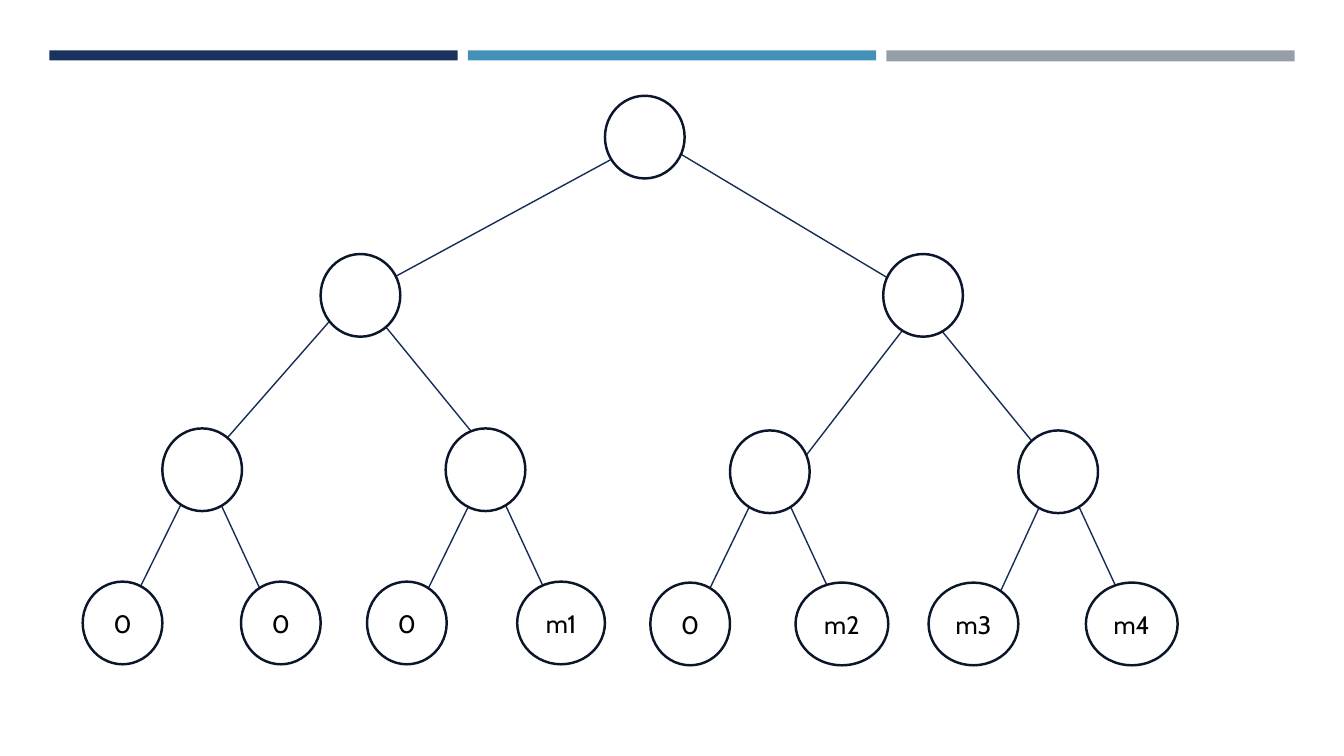
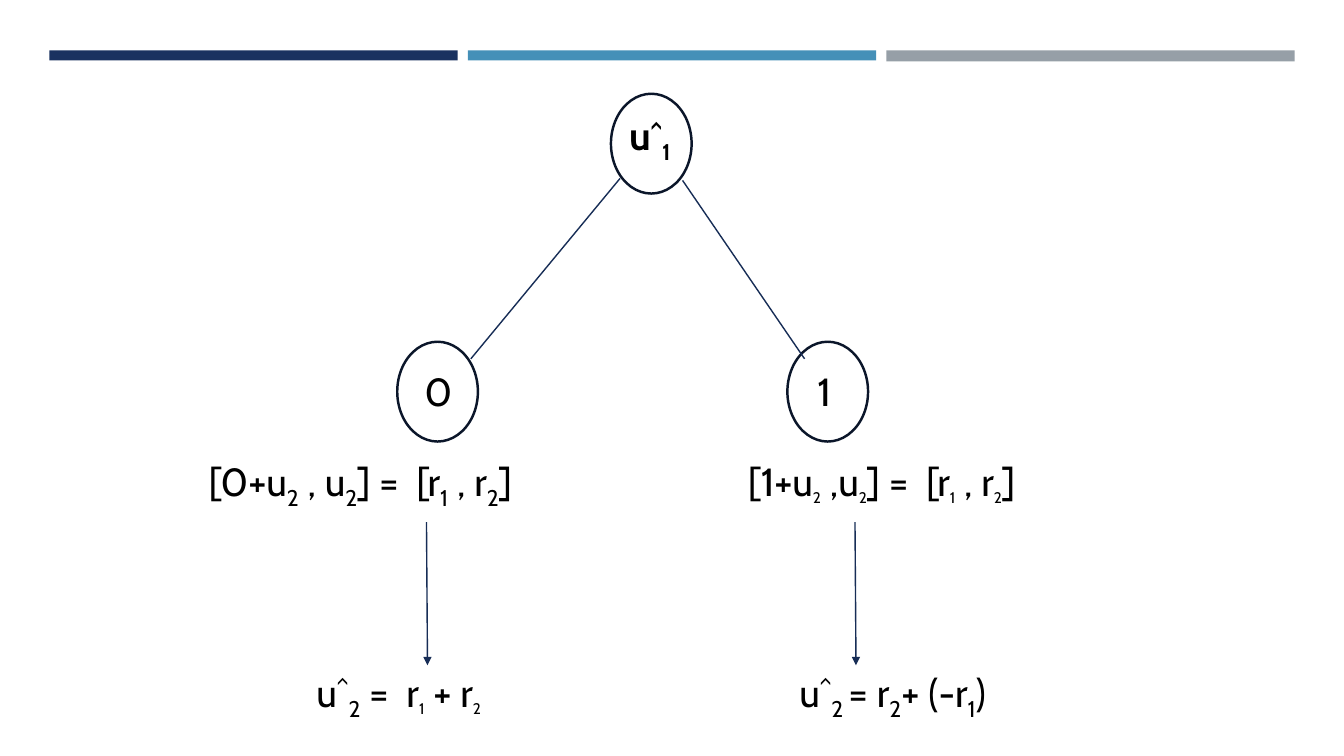
from lxml.etree import SubElement
from pptx import Presentation
from pptx.dml.color import RGBColor
from pptx.enum.shapes import MSO_CONNECTOR, MSO_SHAPE
from pptx.enum.text import MSO_ANCHOR, PP_ALIGN
from pptx.oxml.ns import qn
from pptx.util import Pt

# Scale: 100 px to the inch
EMU_PER_PX = 9144
SLIDE_WIDTH, SLIDE_HEIGHT = 1333, 750

# Colours
NAVY = RGBColor(0x1A, 0x32, 0x60)
BLUE = RGBColor(0x45, 0x90, 0xB8)
GREY = RGBColor(0x96, 0x9F, 0xA7)
OUTLINE = RGBColor(0x0B, 0x16, 0x2A)
EDGE = RGBColor(0x17, 0x2D, 0x56)
WHITE = RGBColor(0xFF, 0xFF, 0xFF)
BLACK = RGBColor(0x00, 0x00, 0x00)

# Text formats: size in points, baseline shift in thousandths of a percent
FONT_NAME = "Cabin"
LEAF_SIZE = 18
BASE, SUB, SMALL_SUB, SUPER = (28, 0), (28, -25000), (19, -25000), (28, 30000)


def px(length):
    return length * EMU_PER_PX


class Deck:
    """Holds the style and the current slide."""

    bands = ((NAVY, 10), (BLUE, 10), (GREY, 11))
    band_left, band_top, band_width, band_pitch = 49, 50, 405, 415

    def __init__(self):
        self.presentation = Presentation()
        self.presentation.slide_width = px(SLIDE_WIDTH)
        self.presentation.slide_height = px(SLIDE_HEIGHT)
        self.slide = None

    def new_slide(self):
        blank_layout = self.presentation.slide_layouts[6]
        self.slide = self.presentation.slides.add_slide(blank_layout)
        for index, (color, height) in enumerate(self.bands):
            left = self.band_left + index * self.band_pitch
            band = self.shape(MSO_SHAPE.RECTANGLE, left, self.band_top,
                              self.band_width, height, color)
            band.line.fill.background()

    def shape(self, kind, left, top, width, height, color):
        shape = self.slide.shapes.add_shape(
            kind, px(left), px(top), px(width), px(height))
        shape.shadow.inherit = False
        shape.fill.solid()
        shape.fill.fore_color.rgb = color
        return shape

    def node(self, left, top, width, height, label=""):
        node = self.shape(MSO_SHAPE.OVAL, left, top, width, height, WHITE)
        node.line.color.rgb = OUTLINE
        node.line.width = Pt(1.75)
        if label:
            node.text_frame.vertical_anchor = MSO_ANCHOR.MIDDLE
            paragraph = node.text_frame.paragraphs[0]
            paragraph.alignment = PP_ALIGN.CENTER
            self.run(paragraph, label, (LEAF_SIZE, 0))

    def edge(self, start_x, start_y, end_x, end_y, arrow=False):
        connector = self.slide.shapes.add_connector(
            MSO_CONNECTOR.STRAIGHT, px(start_x), px(start_y), px(end_x), px(end_y))
        connector.line.color.rgb = EDGE
        connector.line.width = Pt(1)
        if arrow:
            SubElement(connector.line._get_or_add_ln(), qn("a:tailEnd"), type="triangle")
        SubElement(connector._element.spPr, qn("a:effectLst"))

    def run(self, paragraph, text, text_format, bold=False):
        size, baseline = text_format
        run = paragraph.add_run()
        run.text = text
        run.font.color.rgb = BLACK
        font_values = {"name": FONT_NAME, "size": Pt(size), "bold": bold}
        for name, value in font_values.items():
            setattr(run.font, name, value)
        if baseline:
            run._r.get_or_add_rPr().set("baseline", str(baseline))

    def formula(self, left, top, width, height, parts, bold=False):
        box = self.slide.shapes.add_textbox(px(left), px(top), px(width), px(height))
        box.text_frame.word_wrap = True
        for text, text_format in parts:
            self.run(box.text_frame.paragraphs[0], text, text_format, bold)

    def save(self):
        self.presentation.save("out.pptx")


# Slide 1: binary tree, edges as start x, start y, end x, end y
TREE_EDGES = (
    (636, 142, 367, 288), (657, 142, 901, 288),
    (352, 290, 196, 468), (362, 299, 496, 463),
    (918, 298, 784, 472), (911, 300, 1045, 464),
    (196, 467, 124, 613), (205, 470, 273, 617),
    (480, 471, 408, 618), (487, 470, 555, 617),
    (760, 468, 689, 615), (769, 470, 837, 617),
    (1047, 468, 977, 620), (1055, 470, 1123, 617),
)
NODE_WIDTH, NODE_HEIGHT = 79, 82
INNER_NODES = (
    (600, 95), (318, 252), (876, 252),
    (161, 425), (442, 425), (724, 427), (1010, 427),
)
# Leaves as left, top, width, label
LEAVES = (
    (82, 577, NODE_WIDTH, "0"), (239, 577, NODE_WIDTH, "0"),
    (364, 577, NODE_WIDTH, "0"), (513, 577, 87, "m1"),
    (645, 578, NODE_WIDTH, "0"), (789, 578, 92, "m2"),
    (921, 578, 89, "m3"), (1077, 578, 91, "m4"),
)


def build_tree(deck):
    deck.new_slide()
    for tree_edge in TREE_EDGES:
        deck.edge(*tree_edge)
    for left, top in INNER_NODES:
        deck.node(left, top, NODE_WIDTH, NODE_HEIGHT)
    for left, top, width, label in LEAVES:
        deck.node(left, top, width, NODE_HEIGHT, label)


# Slide 2: one decision with the formulas of both branches
DECISION_NODES = ((606, 93), (394, 339), (781, 339))
DECISION_EDGES = ((677, 179, 798, 356), (615, 177, 467, 356))
ARROW_LEFTS = (423, 848)
FORMULAS = (
    (411, 359, 41, 71, (("0", BASE),)),
    (801, 359, 44, 71, (("1", BASE),)),
    (197, 449, 404, 70, (
        ("[0+u", BASE), ("2", SUB), (" , u", BASE), ("2", SUB),
        ("] =  [r", BASE), ("1", SUB), (" , r", BASE), ("2", SUB), ("]", BASE))),
    (732, 449, 351, 70, (
        ("[1+u", BASE), ("2", SMALL_SUB), (" ,u", BASE), ("2", SMALL_SUB),
        ("] =  [r", BASE), ("1", SMALL_SUB), (" , r", BASE), ("2", SMALL_SUB),
        ("]", BASE))),
    (304, 658, 243, 70, (
        ("u", BASE), ("^", SUPER), ("2", SUB), (" =  r", BASE),
        ("1", SMALL_SUB), (" + r", BASE), ("2", SMALL_SUB))),
    (783, 658, 300, 70, (
        ("u", BASE), ("^", SUPER), ("2 ", SUB), ("= r", BASE), ("2", SUB),
        ("+ (-r", BASE), ("1", SUB), (")", BASE))),
)


def build_decision(deck):
    deck.new_slide()
    for left, top in DECISION_NODES:
        deck.node(left, top, 80, 99)
    for decision_edge in DECISION_EDGES:
        deck.edge(*decision_edge)
    for left in ARROW_LEFTS:
        deck.edge(left, 518, left + 1, 660, arrow=True)
    deck.formula(614, 106, 78, 57, (("u", BASE), ("^", SUPER), ("1", SUB)), bold=True)
    for formula in FORMULAS:
        deck.formula(*formula)


def main():
    deck = Deck()
    build_tree(deck)
    build_decision(deck)
    deck.save()


if __name__ == "__main__":
    main()
